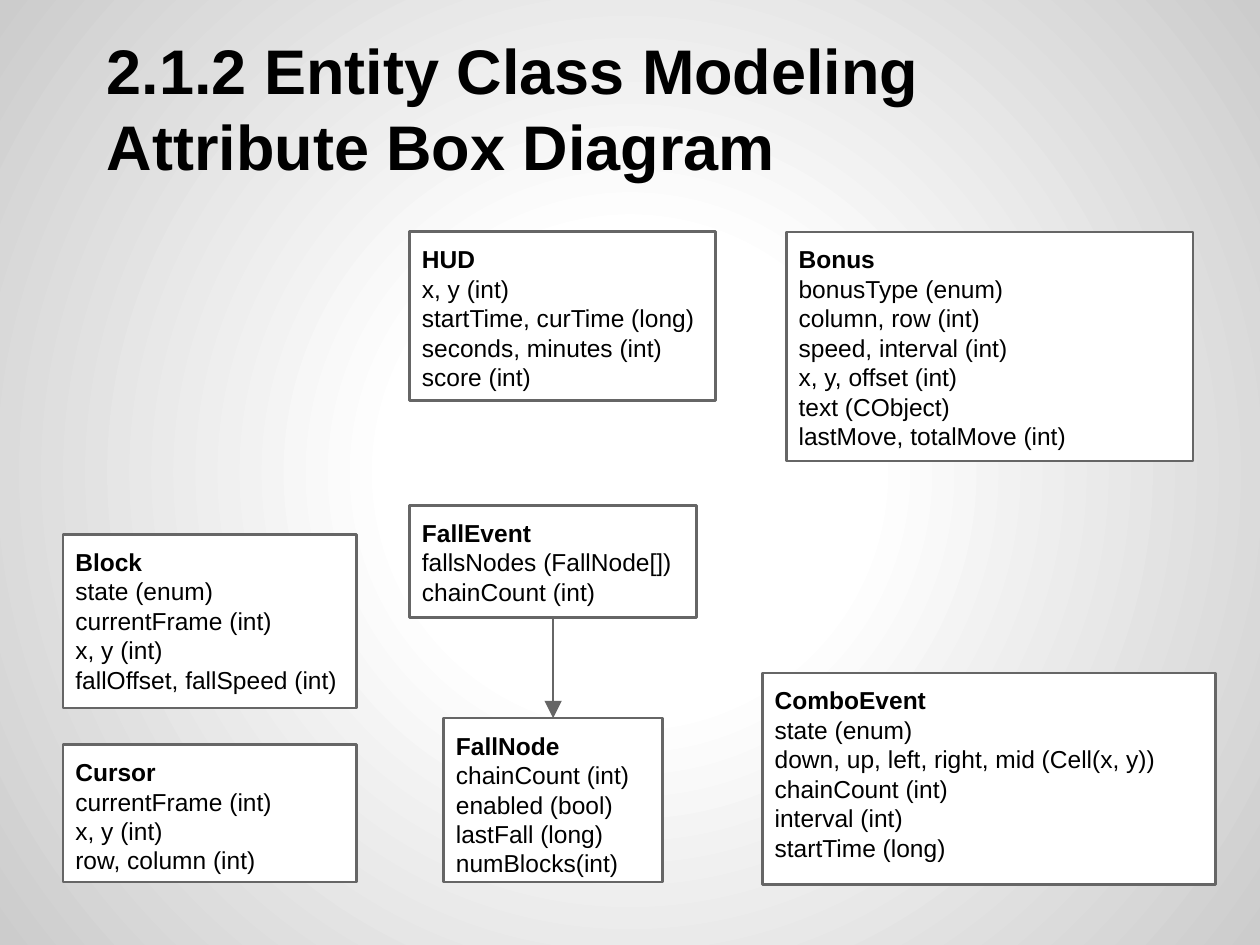
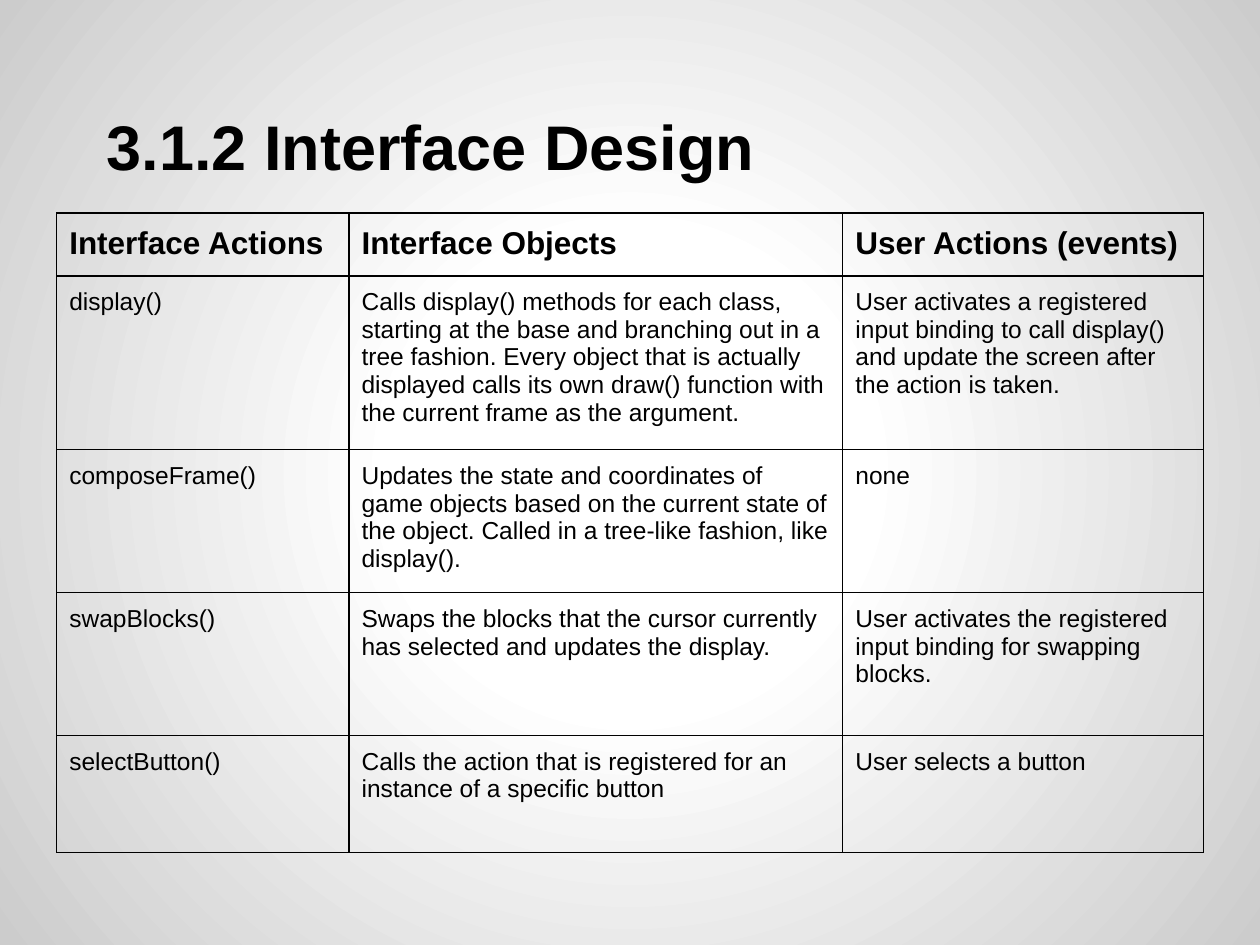
from pptx import Presentation
from pptx.dml.color import RGBColor
from pptx.enum.shapes import MSO_CONNECTOR, MSO_SHAPE
from pptx.enum.text import MSO_ANCHOR, PP_ALIGN
from pptx.oxml import parse_xml
from pptx.oxml.ns import nsdecls
from pptx.util import Inches, Pt

COLORS = {"text": "000000", "box": "FFFFFF", "line": "666666",
          "border": "000000", "center": "FFFFFF", "edge": "CCCCCC"}
FONT = "Arial"
INSET = Inches(0.1)


def write(tf, lines, size=14, bold_lines=0, indent=0, anchor=MSO_ANCHOR.TOP):
    tf.word_wrap = True
    tf.vertical_anchor = anchor
    tf.margin_left = tf.margin_right = tf.margin_top = tf.margin_bottom = INSET
    for i, line in enumerate(lines):
        p = tf.add_paragraph() if i else tf.paragraphs[0]
        p.alignment = PP_ALIGN.LEFT
        if indent:
            p._p.get_or_add_pPr().set("indent", str(Inches(indent)))
        r = p.add_run()
        r.text = line
        r.font.name = FONT
        r.font.size = Pt(size)
        r.font.bold = i < bold_lines
        r.font.color.rgb = RGBColor.from_string(COLORS["text"])


def add_titled_slide(prs, lines):
    slide = prs.slides.add_slide(prs.slide_layouts[6])
    title = slide.shapes.add_textbox(Inches(0.5), Inches(0.3), Inches(9), Inches(1.25))
    write(title.text_frame, lines, size=36, bold_lines=len(lines), indent=0.25,
          anchor=MSO_ANCHOR.BOTTOM)
    return slide


prs = Presentation()
prs.slide_width, prs.slide_height = Inches(10), Inches(7.5)

master = prs.slide_master
master.background.fill.solid()
bg_pr = master._element.xpath("./p:cSld/p:bg/p:bgPr")[0]
stops = "".join(
    f'<a:gs pos="{pos * 1000}"><a:srgbClr val="{COLORS[name]}"/></a:gs>'
    for pos, name in [(0, "center"), (30, "center"), (100, "edge")])
bg_pr.replace(bg_pr[0], parse_xml(
    f'<a:gradFill {nsdecls("a")}><a:gsLst>{stops}</a:gsLst><a:path path="circle">'
    '<a:fillToRect l="50000" t="50000" r="50000" b="50000"/></a:path></a:gradFill>'))

slide = add_titled_slide(prs, ["2.1.2 Entity Class Modeling", "Attribute Box Diagram"])

entities = [
    (0.5, 4.24, 2.33, 1.38, ["Block", "state (enum)", "currentFrame (int)", "x, y (int)",
                             "fallOffset, fallSpeed (int)"]),
    (0.5, 5.91, 2.33, 1.09, ["Cursor", "currentFrame (int)", "x, y (int)",
                             "row, column (int)"]),
    (3.25, 1.84, 2.43, 1.34, ["HUD", "x, y (int)", "startTime, curTime (long)",
                              "seconds, minutes (int)", "score (int)"]),
    (6.24, 1.84, 3.23, 1.82, ["Bonus", "bonusType (enum)", "column, row (int)",
                              "speed, interval (int)", "x, y, offset (int)",
                              "text (CObject)", "lastMove, totalMove (int)"]),
    (3.25, 4.01, 2.28, 0.89, ["FallEvent", "fallsNodes (FallNode[])", "chainCount (int)"]),
    (3.52, 5.7, 1.74, 1.3, ["FallNode", "chainCount (int)", "enabled (bool)",
                            "lastFall (long)", "numBlocks(int)"]),
    (6.05, 5.34, 3.6, 1.68, ["ComboEvent", "state (enum)",
                             "down, up, left, right, mid (Cell(x, y))",
                             "chainCount (int)", "interval (int)", "startTime (long)"]),
]
boxes = {}
for left, top, width, height, lines in entities:
    sp = slide.shapes.add_shape(MSO_SHAPE.RECTANGLE, Inches(left), Inches(top),
                                Inches(width), Inches(height))
    sp.shadow.inherit = False
    sp.fill.solid()
    sp.fill.fore_color.rgb = RGBColor.from_string(COLORS["box"])
    sp.line.color.rgb = RGBColor.from_string(COLORS["line"])
    sp.line.width = Pt(1.5)
    write(sp.text_frame, lines, bold_lines=1)
    boxes[lines[0]] = sp

event, node = boxes["FallEvent"], boxes["FallNode"]
arrow = slide.shapes.add_connector(MSO_CONNECTOR.STRAIGHT, 0, 0, 0, 0)
arrow.begin_connect(event, 2)
arrow.end_connect(node, 0)
arrow.line.color.rgb = RGBColor.from_string(COLORS["line"])
arrow.line.width = Pt(1.5)
arrow.line._get_or_add_ln().append(parse_xml(
    f'<a:tailEnd {nsdecls("a")} type="triangle" w="lg" len="lg"/>'))
arrow._element.spPr.append(parse_xml(f'<a:effectLst {nsdecls("a")}/>'))

slide = add_titled_slide(prs, ["3.1.2 Interface Design"])

rows = [
    ("Interface Actions", "Interface Objects", "User Actions (events)"),
    ("display()",
     "Calls display() methods for each class, starting at the base and branching out in a "
     "tree fashion. Every object that is actually displayed calls its own draw() function "
     "with the current frame as the argument.",
     "User activates a registered input binding to call display() and update the screen "
     "after the action is taken."),
    ("composeFrame()",
     "Updates the state and coordinates of game objects based on the current state of the "
     "object. Called in a tree-like fashion, like display().",
     "none"),
    ("swapBlocks()",
     "Swaps the blocks that the cursor currently has selected and updates the display.",
     "User activates the registered input binding for swapping blocks."),
    ("selectButton()",
     "Calls the action that is registered for an instance of a specific button",
     "User selects a button"),
]
col_widths = [2.32, 3.92, 2.86]
row_heights = [0.5, 1.38, 1.13, 1.13, 0.93]
table = slide.shapes.add_table(len(rows), len(col_widths), Inches(0.45), Inches(1.69),
                               Inches(sum(col_widths)), Inches(sum(row_heights))).table
table.first_row = table.horz_banding = False
for col, width in zip(table.columns, col_widths):
    col.width = Inches(width)
for r, (texts, height) in enumerate(zip(rows, row_heights)):
    table.rows[r].height = Inches(height)
    for c, text in enumerate(texts):
        cell = table.cell(r, c)
        write(cell.text_frame, [text], size=14 if r else 18, bold_lines=0 if r else 1)
        cell.margin_left = cell.margin_right = cell.margin_top = cell.margin_bottom = INSET
        cell.vertical_anchor = MSO_ANCHOR.TOP
        cell.fill.background()
        for i, side in enumerate("LRTB"):
            cell._tc.get_or_add_tcPr().insert(i, parse_xml(
                f'<a:ln{side} {nsdecls("a")} w="{Pt(0.75)}"><a:solidFill>'
                f'<a:srgbClr val="{COLORS["border"]}"/></a:solidFill></a:ln{side}>'))

prs.save("out.pptx")
